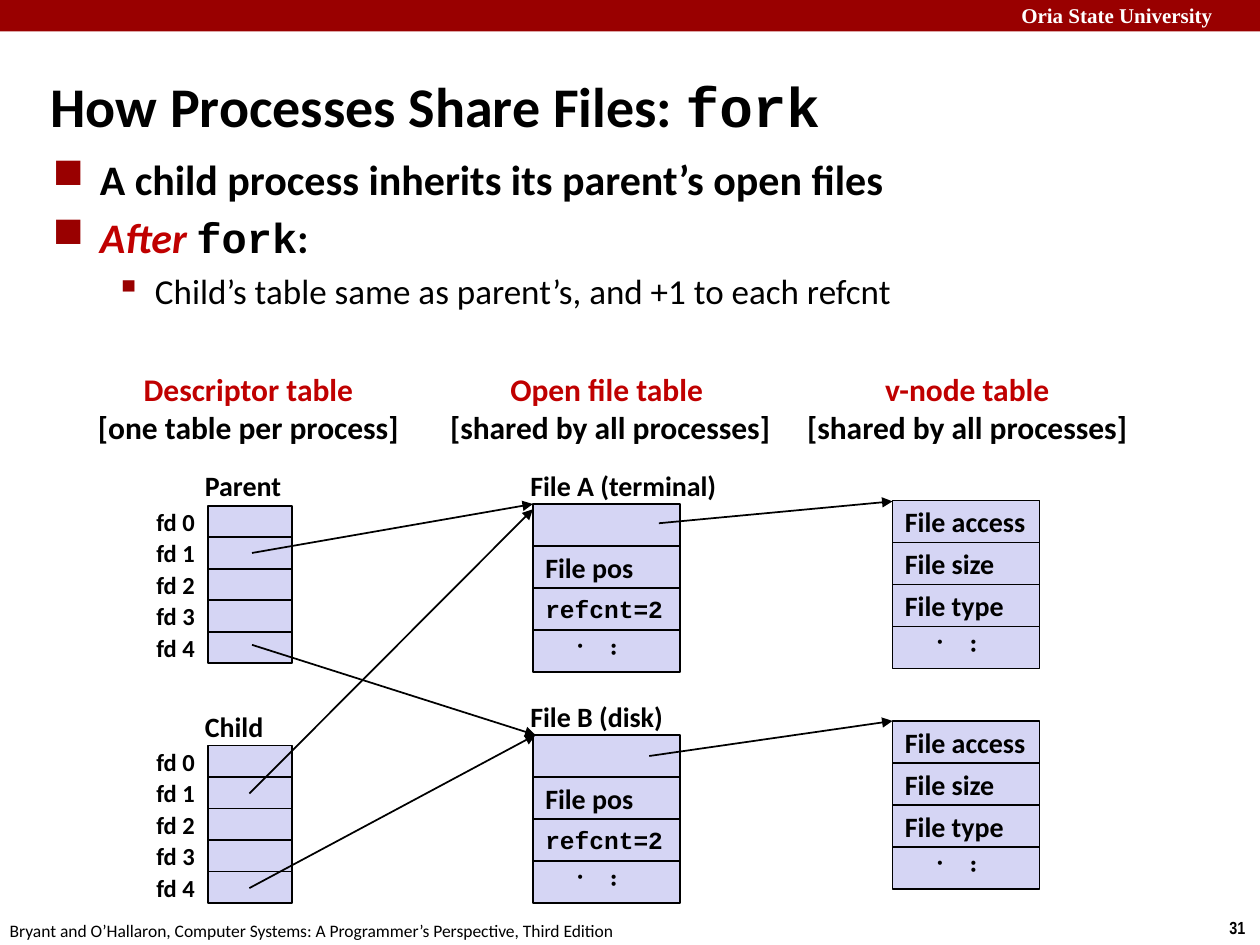
"""Build the slide on how parent and child processes share open files after fork."""
from lxml import etree
from pptx import Presentation
from pptx.dml.color import RGBColor
from pptx.enum import shapes, text
from pptx.oxml import ns
from pptx.util import Pt

COLORS = {"black": "000000", "white": "FFFFFF", "band": "990000",
          "accent": "C00000", "cell": "D5D5F4"}
SANS, MONO = "Calibri", "Courier New"
LEFT, CENTER, RIGHT = (text.PP_ALIGN.LEFT, text.PP_ALIGN.CENTER,
                       text.PP_ALIGN.RIGHT)
TOP, MIDDLE = text.MSO_ANCHOR.TOP, text.MSO_ANCHOR.MIDDLE


def rgb(name):
    return RGBColor.from_string(COLORS[name])


def sub(parent, tag, **attrs):
    return etree.SubElement(parent, ns.qn(tag), attrs)


def style(font, size=16, name=SANS, color="black", bold=True):
    font.size, font.name, font.bold = Pt(size), name, bold
    font.color.rgb = rgb(color)


def frame(sp, anchor=MIDDLE, wrap=False):
    tf = sp.text_frame
    tf.auto_size = text.MSO_AUTO_SIZE.NONE
    tf.word_wrap, tf.vertical_anchor = wrap, anchor
    return tf


def add_run(p, words, **font):
    r = p.add_run()
    r.text = words
    style(r.font, **font)
    return r


def indent(p, left, hanging):
    pPr = p._p.get_or_add_pPr()
    pPr.set("marL", str(Pt(left)))
    pPr.set("indent", str(-Pt(hanging)))
    return pPr


def add_bullet(p, char, left, hanging, before):
    p.space_before = Pt(before)
    pPr = indent(p, left, hanging)
    sub(sub(pPr, "a:buClr"), "a:srgbClr", val=COLORS["band"])
    sub(pPr, "a:buChar", char=char)


def add_label(s, words, x, y, w, h, align=LEFT, anchor=MIDDLE, **font):
    sp = s.shapes.add_textbox(Pt(x), Pt(y), Pt(w), Pt(h))
    p = frame(sp, anchor).paragraphs[0]
    p.text, p.alignment = words, align
    style(p.font, **font)


def add_rect(s, x, y, w, h, fill):
    sp = s.shapes.add_shape(shapes.MSO_SHAPE.RECTANGLE, Pt(x), Pt(y), Pt(w), Pt(h))
    sp.shadow.inherit = False
    sp.fill.solid()
    sp.fill.fore_color.rgb = rgb(fill)
    sp.line.fill.background()
    return sp


def add_cell(s, x, y, w, h, words="", **font):
    sp = add_rect(s, x, y, w, h, "cell")
    sp.line.color.rgb, sp.line.width = rgb("black"), Pt(1)
    if words:
        p = frame(sp, wrap=True).paragraphs[0]
        p.text, p.alignment = words, LEFT
        style(p.font, **font)
    return sp


def add_descriptors(s, name, x, y, label_y):
    add_label(s, name, x - 9, label_y, 58, 26.5)
    for i in range(5):
        add_cell(s, x, y + 18 * i, 48, 18)
        add_label(s, f"fd {i}", x - 48.5, y + 18 * i, 48, 18, align=RIGHT, size=14)


def add_record(s, x, y, fields, w=84, h=24):
    for i, field in enumerate(fields):
        font = dict(size=14, name=MONO) if "=" in field else {}
        add_cell(s, x, y + h * i, w, h, field, **font)
    dots_y = y + h * len(fields)
    dots = add_cell(s, x + (w - h) / 2, dots_y - (w - h) / 2, h, w, "...")
    dots.rotation = 90


def add_heading(s, title, note, x, w):
    sp = s.shapes.add_textbox(Pt(x), Pt(207.5), Pt(w), Pt(51))
    tf = frame(sp)
    for p, words, color in ((tf.paragraphs[0], title, "accent"),
                            (tf.add_paragraph(), note, "black")):
        p.text, p.alignment = words, CENTER
        style(p.font, size=18, color=color)


def add_arrow(s, x1, y1, x2, y2):
    line = s.shapes.add_connector(shapes.MSO_CONNECTOR.STRAIGHT,
                                  Pt(x1), Pt(y1), Pt(x2), Pt(y2))
    line.line.color.rgb, line.line.width = rgb("black"), Pt(1)
    sub(line.line._get_or_add_ln(), "a:tailEnd", type="triangle")
    sub(line._element.spPr, "a:effectLst")


def add_title(s):
    sp = s.shapes.title
    sp.left, sp.top, sp.width, sp.height = Pt(21.6), Pt(30), Pt(598), Pt(60)
    p = frame(sp, wrap=True).paragraphs[0]
    p.alignment = LEFT
    indent(p, 9, 9)
    add_run(p, "How Processes Share Files: ", size=32)
    add_run(p, "fork", size=32, name=MONO)


def add_body(s):
    sp = s.shapes.add_textbox(Pt(23), Pt(84), Pt(654), Pt(102))
    tf = frame(sp, TOP, wrap=True)
    p = tf.paragraphs[0]
    add_bullet(p, "■", 27, 27, 0)
    add_run(p, "A child process inherits its parent’s open files", size=24)
    p = tf.add_paragraph()
    add_bullet(p, "■", 27, 27, 4.8)
    add_run(p, "After ", size=24, color="accent").font.italic = True
    add_run(p, "fork", size=24, name=MONO)
    add_run(p, ":", size=24)
    p = tf.add_paragraph()
    p.level = 1
    add_bullet(p, "▪", 58.5, 22.5, 4)
    add_run(p, "Child’s table same as parent’s, and +1 to each refcnt",
            size=20, bold=False)


def add_page_furniture(s):
    add_rect(s, 0, 0, 720, 18, "band")
    add_label(s, "Oria State University", 576.5, -2, 148, 22, anchor=TOP,
              size=12, name="Times New Roman", color="white")
    add_label(s, "31", 695.5, 520.5, 24.5, 19.5, anchor=TOP, size=10,
              name="Arial Narrow")
    add_label(s, "Bryant and O’Hallaron, Computer Systems: "
              "A Programmer’s Perspective, Third Edition",
              -1.5, 522, 366, 19.5, anchor=TOP, size=10, bold=False)


def main():
    prs = Presentation()
    prs.slide_width, prs.slide_height = Pt(720), Pt(540)
    s = prs.slides.add_slide(prs.slide_layouts[5])
    add_page_furniture(s)
    add_title(s)
    add_body(s)
    add_heading(s, "Descriptor table", "[one table per process]", 48, 188)
    add_heading(s, "Open file table ", "[shared by all processes]", 249, 199.5)
    add_heading(s, "v-node table", "[shared by all processes]", 453, 199.5)
    add_descriptors(s, "Parent", 119, 289, 264)
    add_descriptors(s, "Child", 119, 426, 402)
    for name, y, label_w in (("File A (terminal)", 288, 122),
                             ("File B (disk)", 420, 91.5)):
        add_label(s, name, 296, y - 24, label_w, 26.5)
        add_record(s, 304.5, y, ("", "File pos", "refcnt=2"))
    for y in (286, 412):
        add_record(s, 510, y, ("File access", "File size", "File type"))
    for ends in ((144, 316, 304.5, 288), (144, 368.5, 306, 420),
                 (142.5, 453.5, 304.5, 291), (142.5, 507.5, 306, 420),
                 (376.5, 299, 510, 286.5), (371, 432, 510, 412)):
        add_arrow(s, *ends)
    prs.save("out.pptx")


if __name__ == "__main__":
    main()
